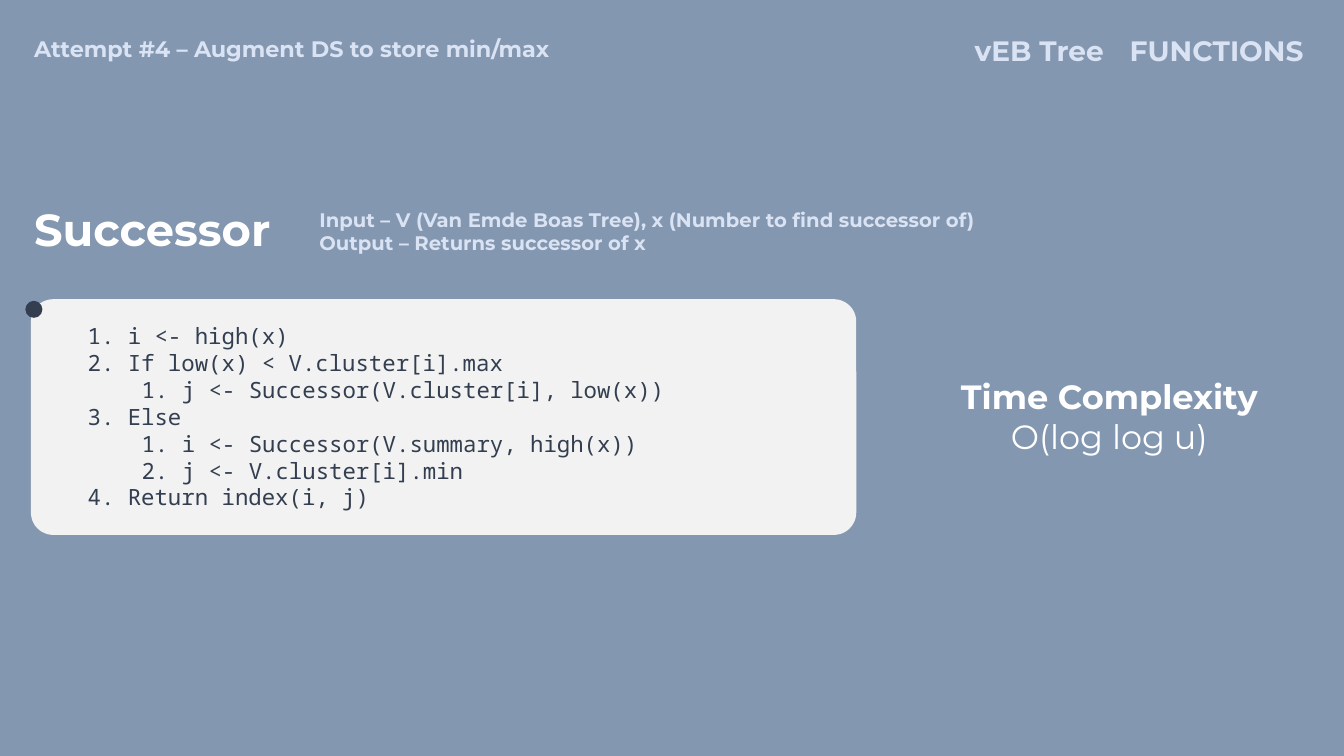
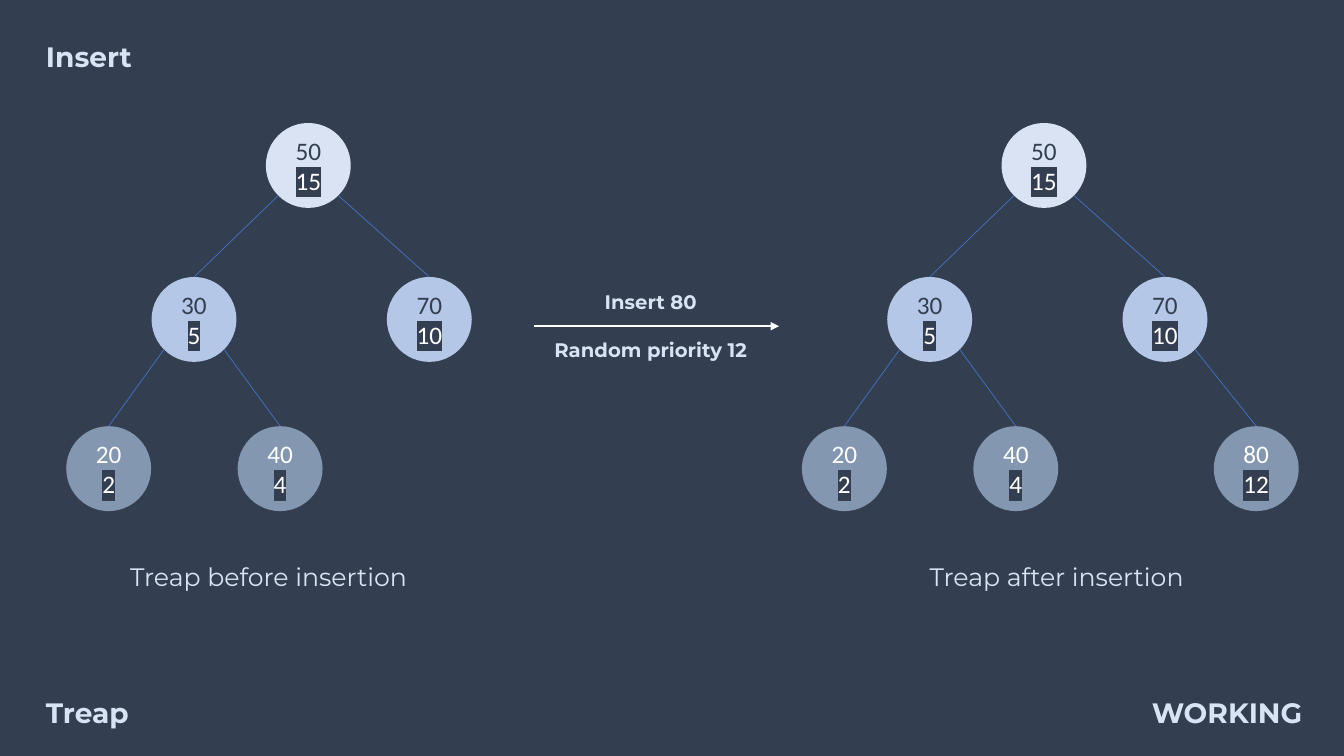
from dataclasses import dataclass
from functools import partial
from math import sqrt
from typing import Optional, Sequence

from lxml import etree
from pptx import Presentation
from pptx import util as u
from pptx.dml.color import RGBColor
from pptx.enum import shapes, text
from pptx.oxml.ns import qn

# Shared look
NAVY = RGBColor(0x33, 0x3F, 0x50)
SLATE = RGBColor(0x84, 0x97, 0xB0)
ICE = RGBColor(0xDA, 0xE3, 0xF3)
SKY = RGBColor(0xB4, 0xC7, 0xE7)
BLUE = RGBColor(0x44, 0x72, 0xC4)
PAPER = RGBColor(0xF2, 0xF2, 0xF2)
WHITE = RGBColor(0xFF, 0xFF, 0xFF)
HEADING_FONT, CODE_FONT, NODE_FONT = "Montserrat", "Noto Sans Mono", "Calibri"
LEFT, CENTER, RIGHT = text.PP_ALIGN.LEFT, text.PP_ALIGN.CENTER, text.PP_ALIGN.RIGHT

# Tree geometry, in cm
NODE_SIZE = 2.14
LEVEL_TOPS = (3.1, 6.98, 10.74)
LEVEL_FILLS = (ICE, SKY, SLATE)
LEVEL_INKS = (NAVY, NAVY, WHITE)


@dataclass(frozen=True)
class Line:
    words: str
    size: float = 20
    bold: bool = True
    color: RGBColor = ICE
    font: str = HEADING_FONT
    indent: float = 0
    before: float = 0


@dataclass(frozen=True)
class Node:
    key: int
    priority: int
    level: int
    offset: float  # from the root's centre, in cm
    parent: Optional[int] = None


def add_run(paragraph, line: Line):
    run = paragraph.add_run()
    run.text = line.words
    run.font.name, run.font.size, run.font.bold = line.font, u.Pt(line.size), line.bold
    run.font.color.rgb = line.color
    return run


def highlight(run, color: RGBColor) -> None:
    mark = etree.Element(qn("a:highlight"))
    etree.SubElement(mark, qn("a:srgbClr")).set("val", str(color))
    run.font._element.find(qn("a:solidFill")).addnext(mark)


def add_text(slide, left: float, top: float, width: float, height: float,
             lines: Sequence[Line], align=LEFT) -> None:
    frame = slide.shapes.add_textbox(*map(u.Cm, (left, top, width, height))).text_frame
    frame.word_wrap = True
    for index, line in enumerate(lines):
        paragraph = frame.add_paragraph() if index else frame.paragraphs[0]
        paragraph.alignment = align
        if line.before:
            paragraph.space_before = u.Pt(line.before)
        if line.indent:
            paragraph._p.get_or_add_pPr().set("marL", str(u.Cm(line.indent)))
        add_run(paragraph, line)


def add_solid(slide, preset, left: float, top: float, width: float, height: float,
              fill: RGBColor):
    solid = slide.shapes.add_shape(preset, *map(u.Cm, (left, top, width, height)))
    solid.shadow.inherit = False
    solid.fill.solid()
    solid.fill.fore_color.rgb = fill
    solid.line.fill.background()
    return solid


def add_line(slide, x1: float, y1: float, x2: float, y2: float, color: RGBColor,
             width: float, arrow: bool = False) -> None:
    connector = slide.shapes.add_connector(
        shapes.MSO_CONNECTOR.STRAIGHT, *map(u.Cm, (x1, y1, x2, y2)))
    connector.line.color.rgb = color
    connector.line.width = u.Pt(width)
    if arrow:
        etree.SubElement(connector.line._get_or_add_ln(), qn("a:tailEnd")).set("type", "triangle")
    etree.SubElement(connector._element.spPr, qn("a:effectLst"))


def add_node(slide, node: Node, root_x: float) -> None:
    circle = add_solid(slide, shapes.MSO_SHAPE.OVAL, root_x + node.offset - NODE_SIZE / 2,
                       LEVEL_TOPS[node.level], NODE_SIZE, NODE_SIZE, LEVEL_FILLS[node.level])
    frame = circle.text_frame
    frame.margin_left = frame.margin_right = frame.margin_top = frame.margin_bottom = 0
    frame.vertical_anchor = text.MSO_ANCHOR.MIDDLE
    paragraph = frame.paragraphs[0]
    paragraph.alignment = CENTER
    label = partial(Line, size=18, bold=False, font=NODE_FONT)
    add_run(paragraph, label(str(node.key), color=LEVEL_INKS[node.level]))
    paragraph.add_line_break()
    highlight(add_run(paragraph, label(str(node.priority), color=WHITE)), NAVY)


def add_tree(slide, nodes: Sequence[Node], root_x: float) -> None:
    by_key = {node.key: node for node in nodes}
    reach = NODE_SIZE / 2 / sqrt(2)  # from a circle's centre to its lower corners
    for node in nodes:
        add_node(slide, node, root_x)
        if node.parent is not None:
            parent = by_key[node.parent]
            side = reach if node.offset > parent.offset else -reach
            add_line(slide, root_x + parent.offset + side,
                     LEVEL_TOPS[parent.level] + NODE_SIZE / 2 + reach,
                     root_x + node.offset, LEVEL_TOPS[node.level], BLUE, 0.5)


def new_slide(deck, color: RGBColor):
    slide = deck.slides.add_slide(deck.slide_layouts[6])
    slide.background.fill.solid()
    slide.background.fill.fore_color.rgb = color
    return slide


def build_successor(deck) -> None:
    slide = new_slide(deck, SLATE)

    # Header
    add_text(slide, 24.31, 0.71, 3.78, 1.12, [Line("vEB Tree")])
    add_text(slide, 27.97, 0.71, 5.13, 1.12, [Line("FUNCTIONS")], RIGHT)
    add_text(slide, 0.61, 0.76, 15.24, 0.94,
             [Line("Attempt #4 – Augment DS to store min/max", 16)])

    # Function and its signature
    add_text(slide, 0.61, 4.95, 9.47, 1.62, [Line("Successor", 32, color=WHITE)])
    add_text(slide, 7.8, 5.11, 18.97, 1.45, [
        Line("Input – V (Van Emde Boas Tree), x (Number to find successor of)", 14),
        Line("Output – Returns successor of x", 14)])
    add_text(slide, 22.76, 9.35, 10.39, 2.31, [
        Line("Time Complexity", 24, color=WHITE),
        Line("O(log log u)", 24, False, WHITE)], CENTER)

    # Code card
    card = add_solid(slide, shapes.MSO_SHAPE.ROUNDED_RECTANGLE, 0.78, 7.54, 20.8, 5.94, PAPER)
    card.adjustments[0] = 0.095
    add_solid(slide, shapes.MSO_SHAPE.OVAL, 0.64, 7.58, 0.43, 0.43, NAVY)
    step = partial(Line, size=16, bold=False, color=NAVY, font=CODE_FONT)
    substep = partial(step, indent=1.36)
    add_text(slide, 1.96, 8, 17.98, 5.05, [
        step("1. i <- high(x)"),
        step("2. If low(x) < V.cluster[i].max"),
        substep("1. j <- Successor(V.cluster[i], low(x))"),
        step("3. Else"),
        substep("1. i <- Successor(V.summary, high(x))"),
        substep("2. j <- V.cluster[i].min"),
        step("4. Return index(i, j)")])


def build_insert(deck) -> None:
    slide = new_slide(deck, NAVY)

    # Title and footer
    add_text(slide, 0.91, 0.86, 7.52, 1.12, [Line("Insert")])
    add_text(slide, 0.91, 17.4, 3.78, 1.12, [Line("Treap")])
    add_text(slide, 25.55, 17.4, 7.52, 1.12, [Line("WORKING")], RIGHT)

    # Trees and captions
    before = [Node(50, 15, 0, 0), Node(30, 5, 1, -2.88, 50), Node(70, 10, 1, 3.05, 50),
              Node(20, 2, 2, -5.03, 30), Node(40, 4, 2, -0.71, 30)]
    after = before + [Node(80, 12, 2, 5.35, 70)]
    for nodes, root_x, caption_left, caption in (
            (before, 7.77, 2.82, "Treap before insertion"),
            (after, 26.31, 22.68, "Treap after insertion")):
        add_tree(slide, nodes, root_x)
        add_text(slide, caption_left, 14.02, 7.9, 1.02, [Line(caption, 18, False)], CENTER)

    # Insertion arrow
    add_line(slide, 13.46, 8.22, 19.63, 8.22, WHITE, 1.5, arrow=True)
    add_text(slide, 12.45, 7.19, 7.9, 2.06, [
        Line("Insert 80", 14), Line("Random priority 12", 14, before=17)], CENTER)


def main() -> None:
    deck = Presentation()
    deck.slide_width, deck.slide_height = u.Cm(33.87), u.Cm(19.05)
    build_successor(deck)
    build_insert(deck)
    deck.save("out.pptx")


if __name__ == "__main__":
    main()
